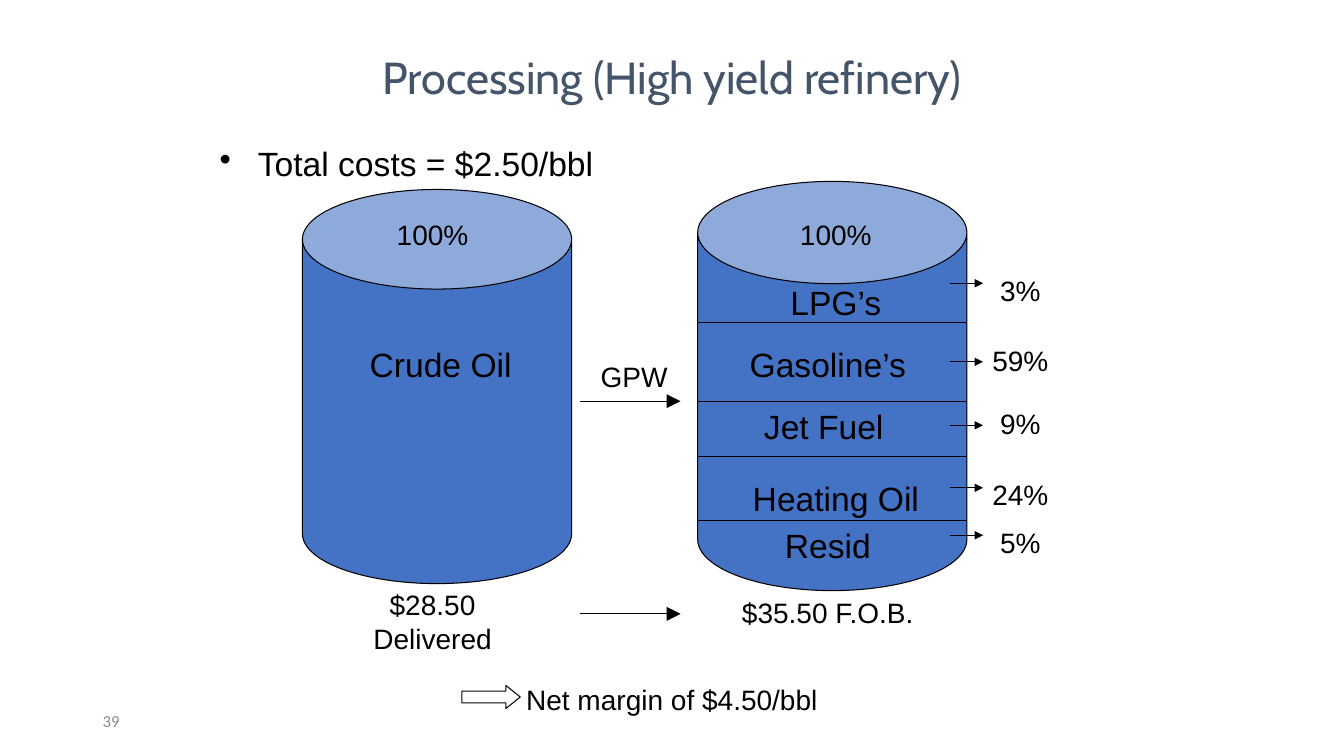
"""Build the slide on costs and yields of a high yield refinery."""
from lxml import etree
from pptx import Presentation
from pptx.dml.color import RGBColor
from pptx.enum.shapes import MSO_CONNECTOR, MSO_SHAPE
from pptx.enum.text import MSO_ANCHOR, PP_ALIGN
from pptx.oxml.ns import qn
from pptx.util import Inches, Pt

LEFT, MID = PP_ALIGN.LEFT, PP_ALIGN.CENTER
TOP, HALF = MSO_ANCHOR.TOP, MSO_ANCHOR.MIDDLE
CAN, ARROW = MSO_SHAPE.CAN, MSO_SHAPE.RIGHT_ARROW
LINE = MSO_CONNECTOR.STRAIGHT
BLACK, BLUE, SLATE, GRAY = "000000", "4472C4", "44546A", "8C8C8C"

deck = Presentation()
deck.slide_width, deck.slide_height = Inches(13.33), Inches(7.5)
slide = deck.slides.add_slide(deck.slide_layouts[5])
shapes = slide.shapes


def write(text, x, y, w, h, size=20, font="Arial", color=BLACK,
          align=MID, anchor=TOP, box=None, bullet=None):
    box = box or shapes.add_textbox(0, 0, 0, 0)
    box.left, box.top, box.width, box.height = map(Inches, (x, y, w, h))
    frame = box.text_frame
    frame.word_wrap, frame.vertical_anchor = True, anchor
    frame.text = text
    para = frame.paragraphs[0]
    para.alignment = align
    if bullet:
        para.line_spacing = 1.1
        props = para._p.get_or_add_pPr()
        props.set("marL", str(Inches(0.38)))
        props.set("indent", str(-Inches(0.38)))
        etree.SubElement(props, qn("a:buChar")).set("char", bullet)
    para.font.size, para.font.name = Pt(size), font
    para.font.color.rgb = RGBColor.from_string(color)


def rule(x, y, end, head=None):
    line = shapes.add_connector(LINE, Inches(x), Inches(y), Inches(end), Inches(y))
    line.line.color.rgb = RGBColor.from_string(BLACK)
    line.line.width = Pt(0.75)
    if head:
        tail = etree.SubElement(line.line._get_or_add_ln(), qn("a:tailEnd"))
        for key, value in (("type", "triangle"), ("w", head), ("len", head)):
            tail.set(key, value)
    etree.SubElement(line._element.spPr, qn("a:effectLst"))


write("Processing (High yield refinery)", 2, 0.17, 9.33, 1.17, size=32,
      font="Cabin", color=SLATE, anchor=HALF, box=shapes.title)
write("39", 0.92, 6.95, 3, 0.4, size=12, font="Calibri", color=GRAY,
      align=LEFT, anchor=HALF)

for kind, x, y, w, h, bends, fill in (
    (CAN, 6.92, 1.8, 2.67, 4.06, [0.38], BLUE),
    (CAN, 3, 1.88, 2.67, 3.91, [0.37], BLUE),
    (ARROW, 4.58, 6.8, 0.58, 0.23, [0.5, 0.62], None),
):
    shape = shapes.add_shape(kind, *map(Inches, (x, y, w, h)))
    shape.shadow.inherit = False
    for spot, bend in enumerate(bends):
        shape.adjustments[spot] = bend
    if fill:
        shape.fill.solid()
        shape.fill.fore_color.rgb = RGBColor.from_string(fill)
    else:
        shape.fill.background()
    shape.line.color.rgb = RGBColor.from_string(BLACK)
    shape.line.width = Pt(0.75)

for y in (3.2, 3.98, 4.53, 5.16):
    rule(6.92, y, 9.58)

for name, x, y, share, level, point in (
    ("LPG’s", 7, 2.75, "3%", 2.66, 2.81),
    ("Gasoline’s", 6.92, 3.36, "59%", 3.36, 3.59),
    ("Jet Fuel", 6.88, 3.98, "9%", 3.98, 4.22),
    ("Heating Oil", 7, 4.69, "24%", 4.69, 4.84),
    ("Resid", 6.92, 5.16, "5%", 5.16, 5.31),
):
    write(name, x, y, 2.58, 0.5, size=24)
    write(share, 9.58, level, 1.08, 0.44)
    rule(9.42, point, 9.75, head="med")

write("Total costs = $2.50/bbl", 2.08, 1.33, 9.33, 4.92, size=24,
      align=LEFT, bullet="•")
write("Crude Oil", 3.08, 3.36, 2.58, 0.5, size=24)
for text, x, y, w, h in (
    ("100%", 3.75, 2.11, 1.08, 0.44),
    ("100%", 7.75, 2.11, 1.08, 0.44),
    ("GPW", 5.75, 3.52, 1.08, 0.44),
    ("$28.50 Delivered", 3.25, 5.78, 2.08, 0.77),
    ("$35.50 F.O.B.", 7.25, 5.86, 1.92, 0.44),
    ("Net margin of $4.50/bbl", 3.25, 6.72, 6.83, 0.44),
):
    write(text, x, y, w, h)

for y in (3.98, 6.09):
    rule(5.75, y, 6.75, head="lg")

deck.save("out.pptx")
